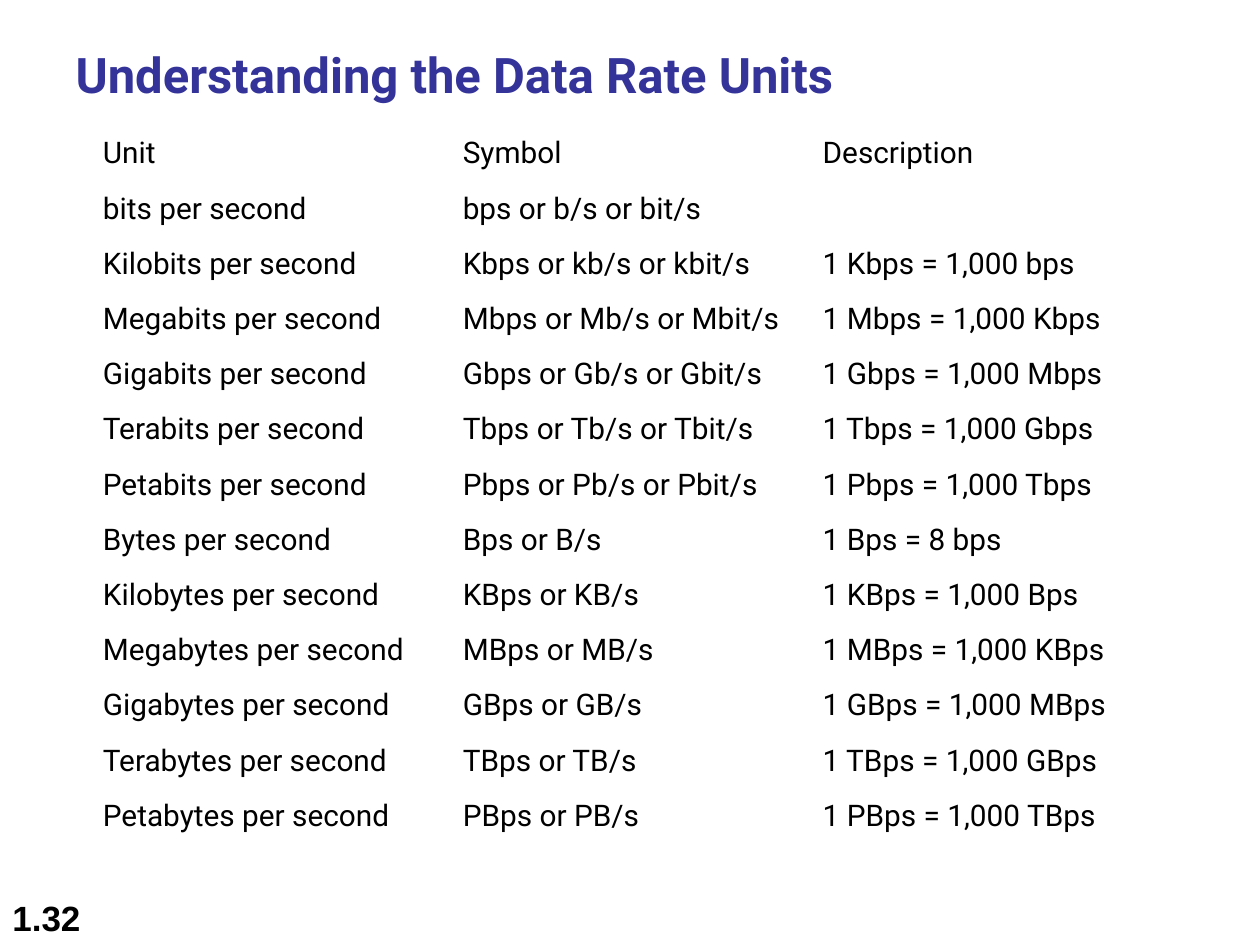
from pptx import Presentation
from pptx.dml.color import RGBColor
from pptx.enum import text as t
from pptx.util import Pt

BLACK = RGBColor(0, 0, 0)
NAVY = RGBColor(0x33, 0x33, 0x99)
WHITE = RGBColor(255, 255, 255)
SANS = "Roboto"
UNITS = [
    ("Unit", "Symbol", "Description"),
    ("bits per second", "bps or b/s or bit/s", ""),
    ("Kilobits per second", "Kbps or kb/s or kbit/s", "1 Kbps = 1,000 bps"),
    ("Megabits per second", "Mbps or Mb/s or Mbit/s", "1 Mbps = 1,000 Kbps"),
    ("Gigabits per second", "Gbps or Gb/s or Gbit/s", "1 Gbps = 1,000 Mbps"),
    ("Terabits per second", "Tbps or Tb/s or Tbit/s", "1 Tbps = 1,000 Gbps"),
    ("Petabits per second", "Pbps or Pb/s or Pbit/s", "1 Pbps = 1,000 Tbps"),
    ("Bytes per second", "Bps or B/s", "1 Bps = 8 bps"),
    ("Kilobytes per second", "KBps or KB/s", "1 KBps = 1,000 Bps"),
    ("Megabytes per second", "MBps or MB/s", "1 MBps = 1,000 KBps"),
    ("Gigabytes per second", "GBps or GB/s", "1 GBps = 1,000 MBps"),
    ("Terabytes per second", "TBps or TB/s", "1 TBps = 1,000 GBps"),
    ("Petabytes per second", "PBps or PB/s", "1 PBps = 1,000 TBps"),
]


def write(para, words, face, size, color, bold=False):
    """Add one formatted run to a left-aligned paragraph."""
    para.alignment = t.PP_ALIGN.LEFT
    para.font.size = Pt(size)
    if words:
        run = para.add_run()
        run.text = words
        run.font.name = face
        run.font.size = Pt(size)
        run.font.bold = bold
        run.font.color.rgb = color


def add_title(slide, left, top, width, height):
    """Place the heading in the title placeholder."""
    title = slide.shapes.title
    title.left, title.top = Pt(left), Pt(top)
    title.width, title.height = Pt(width), Pt(height)
    frame = title.text_frame
    frame.word_wrap = True
    frame.auto_size = t.MSO_AUTO_SIZE.NONE
    frame.vertical_anchor = t.MSO_ANCHOR.TOP
    write(frame.paragraphs[0], "Understanding the Data Rate Units",
          SANS, 28, NAVY, True)


def add_units(slide, left, top, width, height):
    """Place the table of data rate units, with equal rows and columns."""
    rows, cols = len(UNITS), len(UNITS[0])
    table = slide.shapes.add_table(rows, cols, Pt(left), Pt(top),
                                   Pt(width), Pt(height)).table
    table.first_row = table.horz_banding = False
    for r, line in enumerate(UNITS):
        table.rows[r].height = Pt(height / rows)
        for c, words in enumerate(line):
            cell = table.cell(r, c)
            cell.fill.solid()
            cell.fill.fore_color.rgb = WHITE
            cell.vertical_anchor = t.MSO_ANCHOR.MIDDLE
            write(cell.text_frame.paragraphs[0], words, SANS, 17, BLACK)


def add_number(slide, left, top, width, height):
    """Place the page number at the foot."""
    box = slide.shapes.add_textbox(Pt(left), Pt(top), Pt(width), Pt(height))
    frame = box.text_frame
    frame.word_wrap = True
    frame.vertical_anchor = t.MSO_ANCHOR.BOTTOM
    write(frame.paragraphs[0], "1.32", "Arial", 20, BLACK, True)


def main():
    """Build and save the slide."""
    deck = Presentation()
    deck.slide_width, deck.slide_height = Pt(720), Pt(540)
    slide = deck.slides.add_slide(deck.slide_layouts[5])
    add_units(slide, 51.6, 72, 617, 410.4)
    add_number(slide, 0, 504, 150, 36)
    add_title(slide, 36, 21.6, 648, 90)
    deck.save("out.pptx")


if __name__ == "__main__":
    main()
